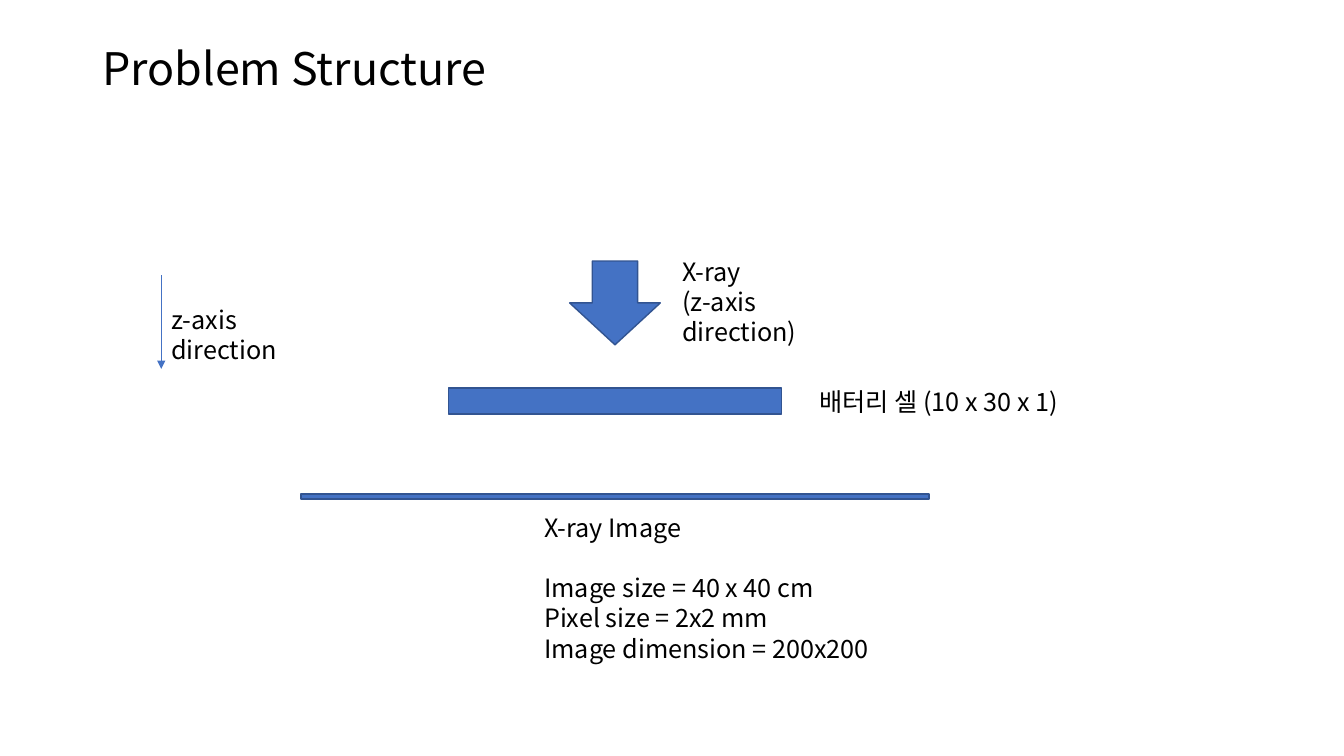
from lxml import etree
from pptx import Presentation
from pptx.dml.color import RGBColor
from pptx.enum.shapes import MSO_CONNECTOR, MSO_SHAPE
from pptx.enum.text import MSO_ANCHOR
from pptx.oxml.ns import qn
from pptx.util import Pt

RECTANGLE, DOWN_ARROW = MSO_SHAPE.RECTANGLE, MSO_SHAPE.DOWN_ARROW
STRAIGHT = MSO_CONNECTOR.STRAIGHT
TOP, MIDDLE = MSO_ANCHOR.TOP, MSO_ANCHOR.MIDDLE
BLUE = RGBColor(0x44, 0x72, 0xC4)
DARK_BLUE = RGBColor(0x32, 0x54, 0x91)
BLACK = RGBColor(0, 0, 0)
FONT = "Noto Sans CJK KR"
TITLE_SIZE, LABEL_SIZE, LINE_HEIGHT = 32, 18, 21.6

# Content: lengths in points
TITLE = ("Problem Structure", (66, 21, 828, 60))
LABELS = [
    ("배터리 셀 (10 x 30 x 1)", (578.2, 272.2, 210.2, 29)),
    ("z-axis direction", (115.2, 213.8, 139, 29)),
    ("X-ray\n(z-axis direction)", (480.2, 179.3, 149.8, 51)),
]
IMAGE_FACTS = (
    "X-ray Image\nImage size = 40 x 40 cm\nPixel size = 2x2 mm\nImage dimension = 200x200",
    (381.6, 362.2, 311, 116.6),
)
# Ray, battery cell and image plane share one centre line: kind, top, width, height
CENTRE = 439.3
STACK = [
    (DOWN_ARROW, 186.5, 64.8, 59.8),
    (RECTANGLE, 277.2, 237.6, 18.7),
    (RECTANGLE, 352.8, 448.6, 3.6),
]
AXIS = (115.2, 196.6, 115.2, 263.5)

deck = Presentation()
deck.slide_width, deck.slide_height = Pt(960), Pt(540)
page = deck.slides.add_slide(deck.slide_layouts[6])


def add_text(text, place, size=LABEL_SIZE, anchor=TOP):
    frame = page.shapes.add_textbox(*map(Pt, place)).text_frame
    frame.word_wrap = True
    frame.vertical_anchor = anchor
    frame.text = text
    for para in frame.paragraphs:
        for span in para.runs:
            span.font.size = Pt(size)
            span.font.name = FONT
            span.font.color.rgb = BLACK
            east_asian = etree.SubElement(span.font._element, qn("a:ea"))
            east_asian.set("typeface", FONT)
    return frame


# Title
title = add_text(*TITLE, TITLE_SIZE, MIDDLE)
title.paragraphs[0].line_spacing = 0.9

# Ray, battery cell and image plane
for kind, top, width, height in STACK:
    part = page.shapes.add_shape(kind, Pt(CENTRE - width / 2), Pt(top), Pt(width), Pt(height))
    part.shadow.inherit = False
    part.fill.solid()
    part.fill.fore_color.rgb = BLUE
    part.line.color.rgb = DARK_BLUE
    part.line.width = Pt(1)

# z-axis arrow
axis = page.shapes.add_connector(STRAIGHT, *map(Pt, AXIS))
axis.line.color.rgb = BLUE
axis.line.width = Pt(0.5)
etree.SubElement(axis.line._get_or_add_ln(), qn("a:tailEnd")).set("type", "triangle")
etree.SubElement(axis._element.spPr, qn("a:effectLst"))

# Labels, with one free line below the heading of the image facts
for text, place in LABELS:
    add_text(text, place)
facts = add_text(*IMAGE_FACTS)
facts.paragraphs[1].space_before = Pt(LINE_HEIGHT)

deck.save("out.pptx")
